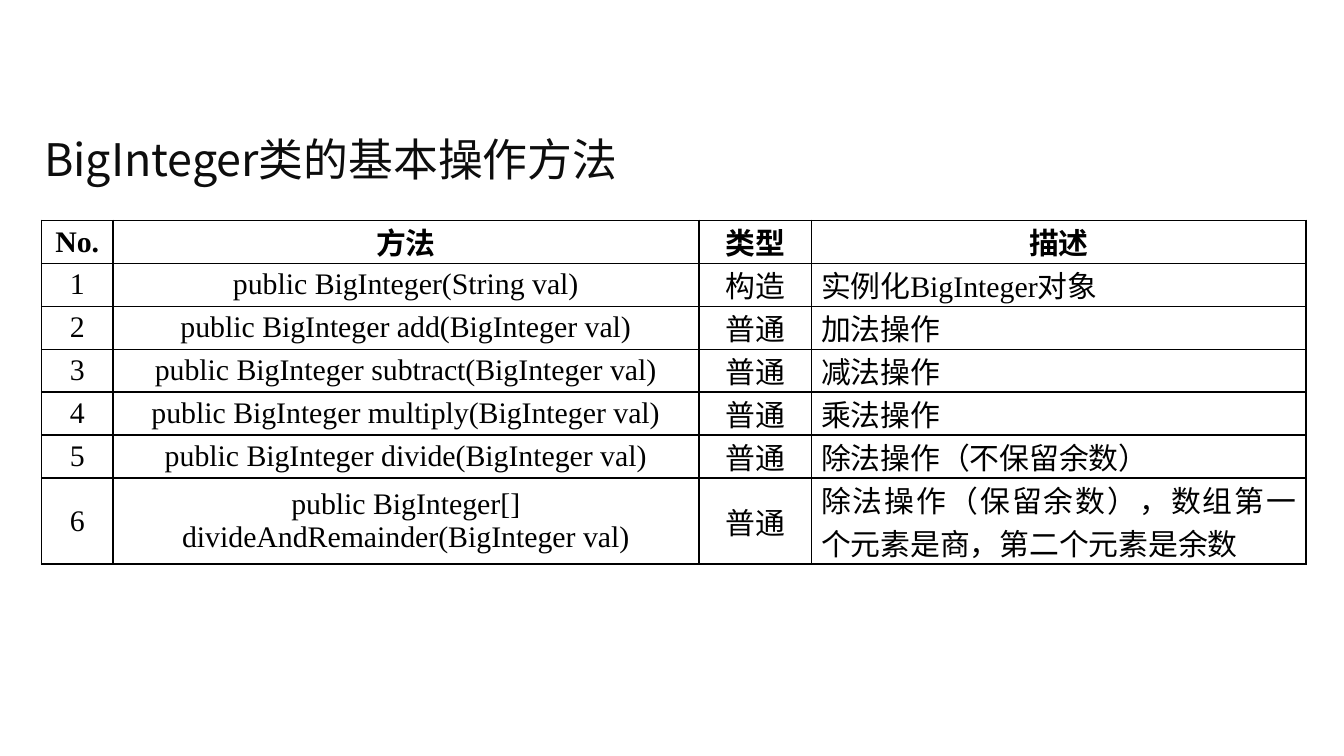
import pptx
import pptx.util
import pptx.dml.color
import pptx.enum.text
import pptx.oxml.ns
from lxml import etree

Inches = pptx.util.Inches
Pt = pptx.util.Pt
Align = pptx.enum.text.PP_ALIGN
Anchor = pptx.enum.text.MSO_ANCHOR
qn = pptx.oxml.ns.qn

BLACK = pptx.dml.color.RGBColor(0x00, 0x00, 0x00)
INK = pptx.dml.color.RGBColor(0x0D, 0x0D, 0x0D)
SANS = "Noto Sans CJK SC"
SERIF = "Times New Roman"

WIDTHS = [0.53, 4.36, 0.84, 3.68]
HEIGHTS = [0.32] * 6 + [0.64]
ROWS = [
    ("No.", "方法", "类型", "描述"),
    ("1", "public BigInteger(String val)", "构造", "实例化BigInteger对象"),
    ("2", "public BigInteger add(BigInteger val)", "普通", "加法操作"),
    ("3", "public BigInteger subtract(BigInteger val)", "普通", "减法操作"),
    ("4", "public BigInteger multiply(BigInteger val)", "普通", "乘法操作"),
    ("5", "public BigInteger divide(BigInteger val)", "普通", "除法操作（不保留余数）"),
    ("6", "public BigInteger[] divideAndRemainder(BigInteger val)", "普通",
     "除法操作（保留余数），数组第一个元素是商，第二个元素是余数"),
]


def apply(target, values):
    for name, value in values.items():
        setattr(target, name, value)


def write(frame, text, align, color, style):
    para = frame.paragraphs[0]
    para.alignment = align
    run = para.add_run()
    run.text = text
    apply(run.font, style)
    run.font.color.rgb = color
    # Chinese glyphs take the East Asian font
    etree.SubElement(run.font._element, qn("a:ea"), typeface=SANS)


def add_title(slide, text):
    box = slide.shapes.add_textbox(
        Inches(0.23), Inches(0.86), Inches(9.53), Inches(0.64))
    apply(box.text_frame, {"word_wrap": True, "vertical_anchor": Anchor.MIDDLE})
    write(box.text_frame, text, Align.LEFT, INK,
          {"name": SANS, "size": Pt(24)})


def add_border(cell):
    props = cell._tc.get_or_add_tcPr()
    for side in ("lnL", "lnR", "lnT", "lnB"):
        line = etree.SubElement(props, qn("a:" + side), w=str(Pt(1)))
        fill = etree.SubElement(line, qn("a:solidFill"))
        etree.SubElement(fill, qn("a:srgbClr"), val=str(BLACK))


def fill_cell(cell, text, align, bold):
    apply(cell, {
        "margin_left": Inches(0.07), "margin_right": Inches(0.07),
        "margin_top": 0, "margin_bottom": 0,
        "vertical_anchor": Anchor.MIDDLE,
    })
    add_border(cell)
    cell.fill.background()
    write(cell.text_frame, text, align, BLACK,
          {"name": SERIF, "size": Pt(16), "bold": bold})


def add_grid(slide):
    frame = slide.shapes.add_table(
        len(ROWS), len(WIDTHS), Inches(0.31), Inches(1.64),
        Inches(sum(WIDTHS)), Inches(sum(HEIGHTS)))
    table = frame.table
    apply(table, {"first_row": False, "horz_banding": False})
    for col, width in zip(table.columns, WIDTHS):
        col.width = Inches(width)
    for row, height in zip(table.rows, HEIGHTS):
        row.height = Inches(height)
    for r, texts in enumerate(ROWS):
        for c, text in enumerate(texts):
            # Descriptions are justified, all else is centred
            align = Align.JUSTIFY if r and c == 3 else Align.CENTER
            fill_cell(table.cell(r, c), text, align, r == 0)


def main():
    deck = pptx.Presentation()
    # Widescreen page, 16 to 9
    wide = Inches(10)
    apply(deck, {"slide_width": wide, "slide_height": wide * 9 // 16})
    slide = deck.slides.add_slide(deck.slide_layouts[6])
    # Title
    add_title(slide, "BigInteger类的基本操作方法")
    # Method table
    add_grid(slide)
    deck.save("out.pptx")


if __name__ == "__main__":
    main()
